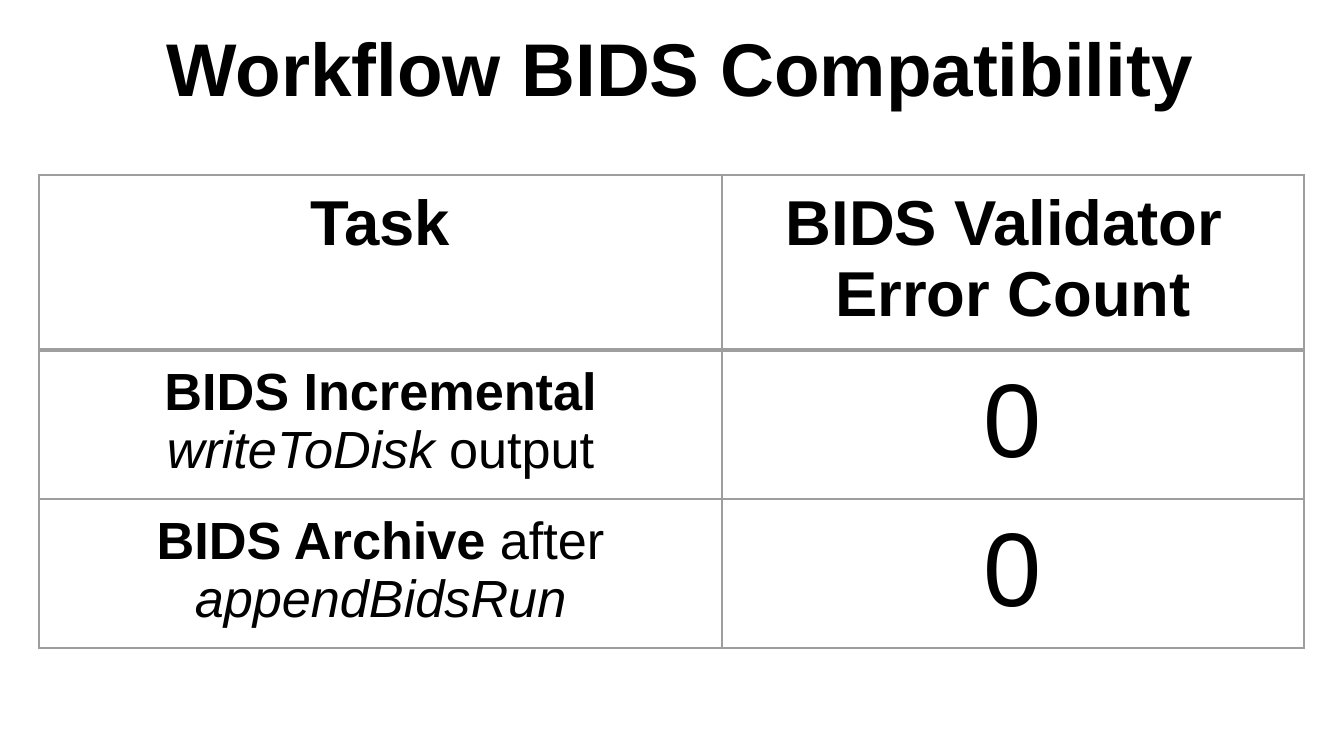
from dataclasses import dataclass

from lxml import etree
from pptx import Presentation
from pptx.dml.color import RGBColor
from pptx.enum.text import MSO_ANCHOR, PP_ALIGN
from pptx.oxml.ns import qn
from pptx.util import Pt

PX = 6804  # EMU in one px
CENTER = PP_ALIGN.CENTER
TOP = MSO_ANCHOR.TOP
SIDES = ("L", "R", "T", "B")


@dataclass(frozen=True)
class Theme:
    font: str = "Arial"
    ink: str = "000000"
    paper: str = "FFFFFF"
    rule: str = "9E9E9E"
    title: int = 40
    head: int = 34
    body: int = 28
    count: int = 56
    thin: float = 0.75
    thick: float = 2.25
    inset: int = 13


class Deck:
    def __init__(self, theme, width, height):
        self.theme = theme
        self.prs = Presentation()
        self.prs.slide_width = width * PX
        self.prs.slide_height = height * PX
        self.slide = self.prs.slides.add_slide(self.prs.slide_layouts[6])
        fill = self.slide.background.fill
        fill.solid()
        fill.fore_color.rgb = RGBColor.from_string(theme.paper)

    def put_text(self, frame, lines, size):
        """Each line is a list of (text, style); style holds b and/or i."""
        frame.word_wrap = True
        for n, line in enumerate(lines):
            para = frame.add_paragraph() if n else frame.paragraphs[0]
            para.alignment = CENTER
            for text, style in line:
                run = para.add_run()
                run.text = text
                font = run.font
                font.name = self.theme.font
                font.size = Pt(size)
                font.bold = "b" in style
                font.italic = "i" in style
                font.color.rgb = RGBColor.from_string(self.theme.ink)

    def title(self, text, left, top, width, height, drop):
        box = self.slide.shapes.add_textbox(
            left * PX, top * PX, width * PX, height * PX)
        frame = box.text_frame
        frame.vertical_anchor = TOP
        frame.margin_left = frame.margin_right = self.theme.inset * PX
        frame.margin_top = drop * PX
        self.put_text(frame, [[(text, "b")]], self.theme.title)

    def border(self, cell, widths):
        props = cell._tc.get_or_add_tcPr()
        for n, (side, width) in enumerate(zip(SIDES, widths)):
            line = etree.Element(qn(f"a:ln{side}"), w=str(Pt(width)))
            fill = etree.SubElement(line, qn("a:solidFill"))
            etree.SubElement(fill, qn("a:srgbClr"), val=self.theme.rule)
            props.insert(n, line)

    def table(self, left, top, cols, rows, cells):
        theme = self.theme
        grid = self.slide.shapes.add_table(
            len(rows), len(cols), left * PX, top * PX,
            sum(cols) * PX, sum(rows) * PX).table
        grid.first_row = grid.horz_banding = False
        for col, width in zip(grid.columns, cols):
            col.width = width * PX
        for row, height in zip(grid.rows, rows):
            row.height = height * PX
        for r, line in enumerate(cells):
            # The rule under the header row is the heavy one
            upper = theme.thick if r == 1 else theme.thin
            lower = theme.thick if r == 0 else theme.thin
            for c, (lines, size) in enumerate(line):
                cell = grid.cell(r, c)
                cell.margin_left = cell.margin_right = theme.inset * PX
                cell.margin_top = cell.margin_bottom = theme.inset * PX
                cell.vertical_anchor = TOP
                cell.fill.background()
                self.border(cell, (theme.thin, theme.thin, upper, lower))
                self.put_text(cell.text_frame, lines, size)

    def save(self):
        self.prs.save("out.pptx")


def main():
    theme = Theme()
    deck = Deck(theme, 1344, 756)

    # Results table
    zero = ([[("0", "")]], theme.count)
    tasks = [
        [("BIDS Incremental ", "b"), ("writeToDisk", "i"), (" output", "")],
        [("BIDS Archive", "b"), (" after ", ""), ("appendBidsRun", "i")],
    ]
    heads = [
        ([[("Task", "b")]], theme.head),
        ([[("BIDS Validator ", "b")], [("Error Count", "b")]], theme.head),
    ]
    cells = [heads] + [[([task], theme.body), zero] for task in tasks]
    deck.table(39, 175, (683, 582), (175, 149, 149), cells)

    # Heading
    deck.title("Workflow BIDS Compatibility", 47, 0, 1266, 109, 22)

    deck.save()


if __name__ == "__main__":
    main()
